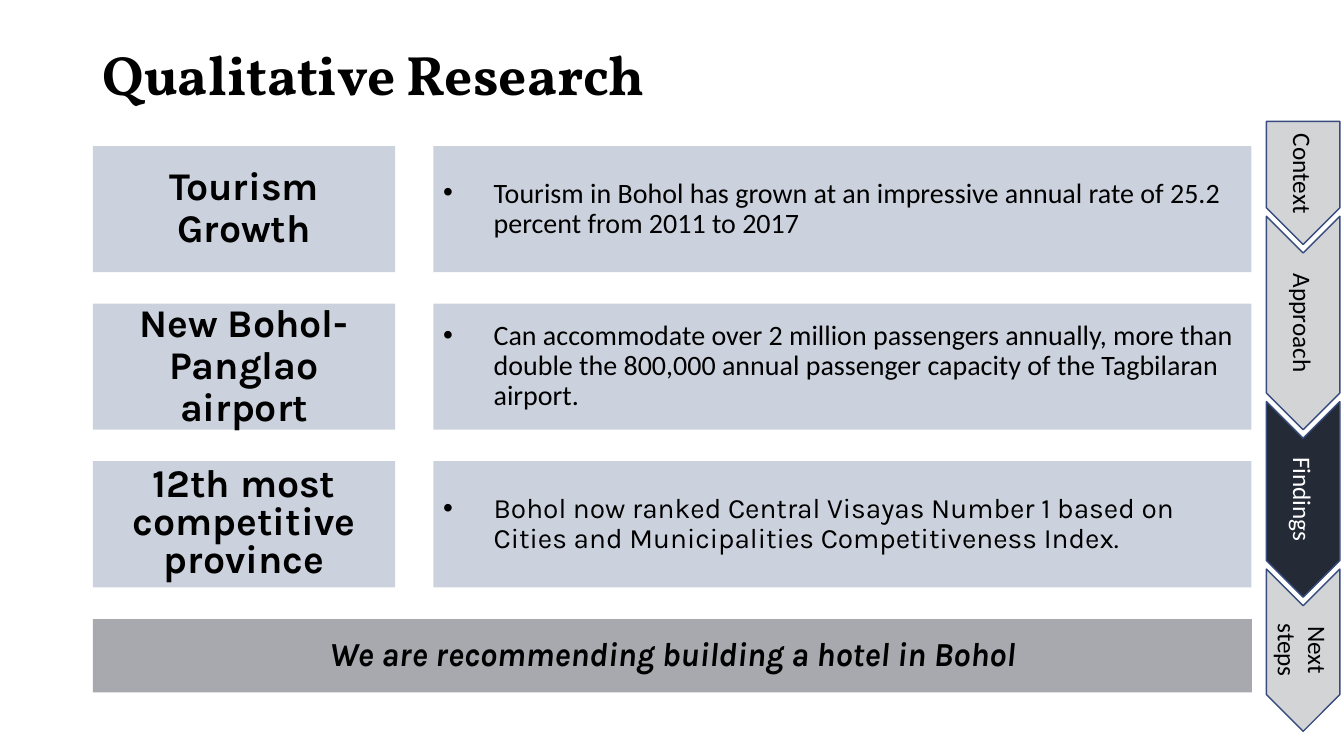
from lxml.etree import SubElement
from pptx import Presentation
from pptx.dml.color import RGBColor
from pptx.enum.shapes import MSO_SHAPE
from pptx.enum.text import MSO_ANCHOR, PP_ALIGN
from pptx.oxml.ns import qn
from pptx.util import Cm, Pt


def paint(color_format, color, opacity=100):
    color_format.rgb = RGBColor.from_string(color)
    if opacity < 100:
        solid = color_format._xFill if hasattr(color_format, "_xFill") else None
        SubElement(solid.find(qn("a:srgbClr")), qn("a:alpha"), val=str(opacity * 1000))


def add_panel(kind, area, text, font, fill=None, opacity=100, outline=None,
              align=PP_ALIGN.CENTER, spacing=0.9, bullet=False):
    box = page.shapes.add_shape(kind, *[Cm(length) for length in area])
    box.shadow.inherit = False
    if fill:
        box.fill.solid()
        paint(box.fill.fore_color, fill, opacity)
    else:
        box.fill.background()
    if outline:
        box.line.width = Pt(1)
        paint(box.line.color, outline)
    else:
        box.line.fill.background()
    box.text_frame.word_wrap = True
    box.text_frame.vertical_anchor = MSO_ANCHOR.MIDDLE
    para = box.text_frame.paragraphs[0]
    if bullet:
        properties = para._p.get_or_add_pPr()
        properties.set("marL", str(Cm(1.27)))
        properties.set("indent", str(-Cm(1.27)))
        SubElement(properties, qn("a:buFont"), typeface="Arial")
        SubElement(properties, qn("a:buChar"), char="•")
    para.alignment = align
    para.line_spacing = spacing
    span = para.add_run()
    span.text = text
    color = font.get("color", "000000")
    paint(span.font.color if span.font.fill.solid() else span.font.fill.fore_color, color)
    for name, value in font.items():
        if name != "color":
            setattr(span.font, name, value)
    return box


deck = Presentation()
deck.slide_width, deck.slide_height = Cm(33.87), Cm(19.05)
page = deck.slides.add_slide(deck.slide_layouts[6])

DARK, PALE, OUTLINE = "242A36", "CCD2DD", "374B7F"
LEFT, TOP, ROW_HEIGHT, ROW_STEP = 2.34, 3.68, 3.18, 3.97
FULL_WIDTH, BAND = 29.21, 1.85

steps = [("Context", 3.1), ("Approach", 5.38), ("Findings", 4.93), ("Next steps", 4.09)]
step_top, step_center, step_overlap = 3.06, 32.84, 0.71
for label, length in steps:
    current = label == "Findings"
    kind = MSO_SHAPE.PENTAGON if label == "Context" else MSO_SHAPE.CHEVRON
    area = (step_center - length / 2, step_top + length / 2 - BAND / 2, length, BAND)
    font = {"name": "Calibri", "size": Pt(18), "color": "FFFFFF" if current else "000000"}
    arrow = add_panel(kind, area, label, font, DARK, 100 if current else 20, OUTLINE, spacing=1.0)
    arrow.rotation = 90
    step_top += length - step_overlap

add_panel(MSO_SHAPE.RECTANGLE, (LEFT, 1.02, FULL_WIDTH, BAND), "Qualitative Research",
          {"name": "Vollkorn", "size": Pt(39.6), "bold": True}, align=PP_ALIGN.LEFT)
add_panel(MSO_SHAPE.RECTANGLE, (LEFT, 15.6, FULL_WIDTH, BAND),
          "We are recommending building a hotel in Bohol",
          {"name": "Karla", "size": Pt(24), "bold": True, "italic": True}, DARK, 40)

findings = [
    ("Tourism Growth", 0.9, "Calibri",
     "Tourism in Bohol has grown at an impressive annual rate of 25.2 percent from 2011 to 2017"),
    ("New Bohol-Panglao airport", 0.9, "Calibri",
     "Can accommodate over 2 million passengers annually, more than double the 800,000 annual "
     "passenger capacity of the Tagbilaran airport."),
    ("12th most competitive province", 0.8, "Karla",
     "Bohol now ranked Central Visayas Number 1 based on Cities and Municipalities "
     "Competitiveness Index."),
]
for row, (heading, spacing, typeface, detail) in enumerate(findings):
    top = TOP + row * ROW_STEP
    add_panel(MSO_SHAPE.RECTANGLE, (LEFT, top, 7.62, ROW_HEIGHT), heading,
              {"name": "Karla", "size": Pt(28), "bold": True}, PALE, spacing=spacing)
    add_panel(MSO_SHAPE.RECTANGLE, (10.92, top, 20.62, ROW_HEIGHT), detail,
              {"name": typeface, "size": Pt(20)}, PALE, align=PP_ALIGN.LEFT, bullet=True)

deck.save("out.pptx")
